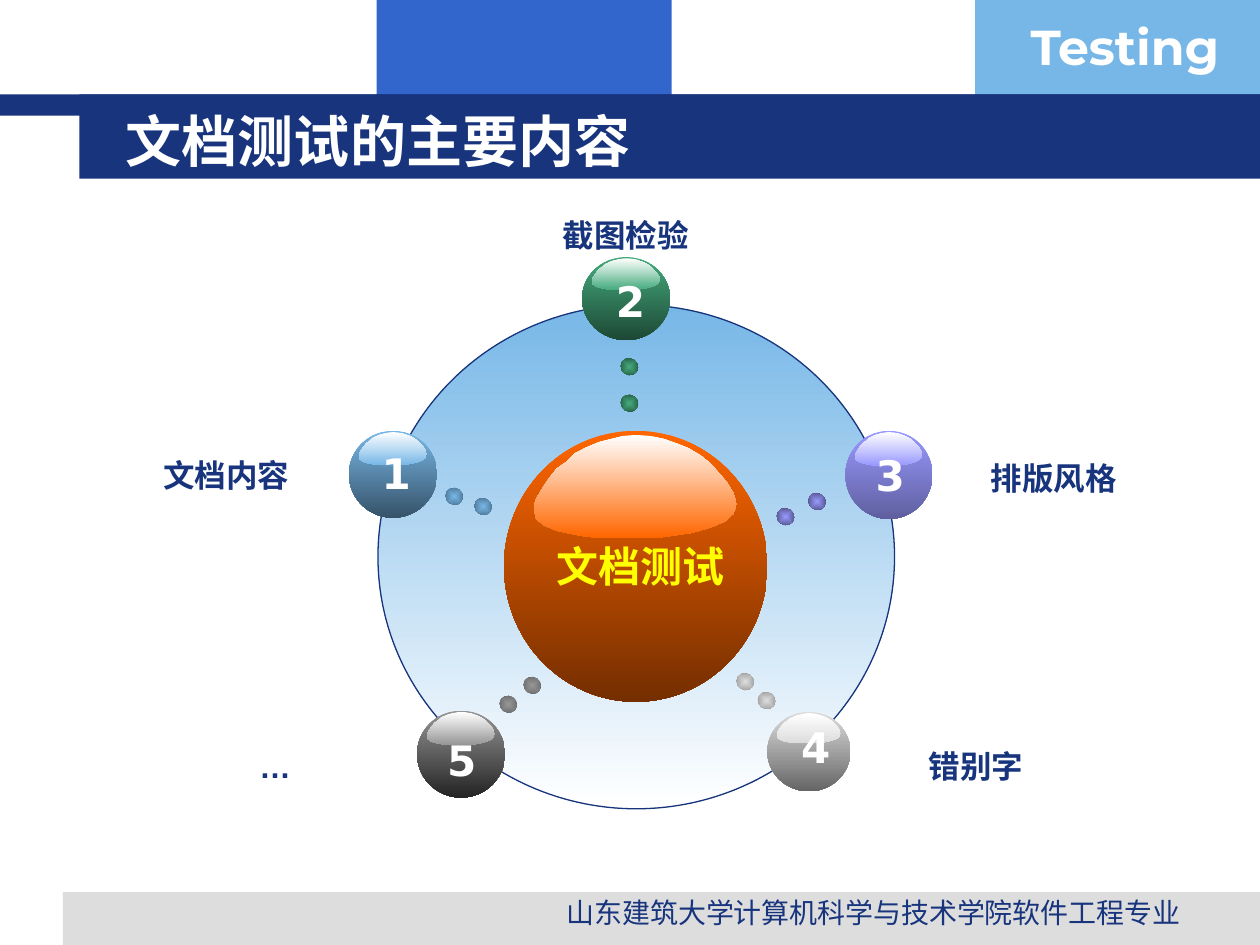
from lxml.etree import SubElement
from pptx import Presentation
from pptx.dml.color import RGBColor
from pptx.enum.shapes import MSO_SHAPE
from pptx.enum.text import MSO_ANCHOR, PP_ALIGN
from pptx.oxml.ns import qn
from pptx.util import Pt

COLORS = {
    "navy": "17347D", "blue": "3366CC", "sky": "77B7E7", "silver": "DDDDDD",
    "white": "FFFFFF", "yellow": "FFFF00", "orange": "FF6600", "brown": "742E00",
    "green": "45AB7D", "green_dark": "1D4835", "green_dot": "1F4E39",
    "violet": "9999FF", "violet_dark": "5F5F9F", "violet_dot": "444471",
    "gray": "969696", "gray_dark": "242424", "gray_dot": "646464",
    "silver_dark": "656565", "silver_dot": "939393",
    "sky_dark": "365369", "sky_dot": "456985",
}
BARS = [
    (215.3, 0, 168.5, 66.2, "blue"),
    (557.3, 0, 162.7, 66.2, "sky"),
    (36, 509.8, 684, 30.2, "silver"),
    (0, 54, 720, 12.2, "navy"),
    (45.4, 54, 674.6, 48.2, "navy"),
]
TOPICS = [
    ("1", "文档内容", "sky", (199.4, 246.2, 50.4, 49.7), (211, 252),
     (59.8, 257), [(254.9, 278.6), (271.4, 284.4)]),
    ("2", "截图检验", "green", (332.6, 146.9, 50.4, 47.5), (344.9, 154.1),
     (288, 120.2), [(355, 204.5), (355, 225.4)]),
    ("3", "排版风格", "violet", (483.1, 246.2, 49.7, 50.4), (493.2, 253.4),
     (532.8, 258.5), [(462.2, 281.5), (444.2, 290.2)]),
    ("4", "错别字", "silver", (438.5, 406.8, 47.5, 45.4), (450.7, 409),
     (488.2, 423.4), [(433.4, 395.3), (421.2, 384.5)]),
    ("5", "…", "gray", (238.3, 406.1, 50.4, 49.7), (248.4, 416.2),
     (87.8, 423.4), [(285.8, 397.4), (299.5, 386.6)]),
]
GLOSS_OUTLINE = [
    (98, 56), (100, 67), (98, 77), (94, 84), (87, 90), (78, 95), (68, 98),
    (60, 100), (36, 100), (26, 99), (18, 96), (11, 93), (5, 88), (1, 82),
    (0, 73), (0, 68), (1, 62), (4, 52), (7, 43), (11, 33), (16, 26), (20, 18),
    (26, 12), (32, 7), (38, 4), (44, 1), (50, 0), (57, 1), (64, 4), (71, 9),
    (76, 13), (82, 20), (87, 28), (91, 37), (95, 46),
]


def rgb(name):
    return RGBColor.from_string(COLORS[name])


def paint_gradient(shape, first, last):
    shape.shadow.inherit = False
    shape.line.fill.background()
    shape.fill.gradient()
    shape.fill.gradient_angle = 270
    for stop, color in zip(shape.fill.gradient_stops, (first, last)):
        stop.color.rgb = rgb(color)


def add_bar(slide, left, top, width, height, color):
    bar = slide.shapes.add_shape(
        MSO_SHAPE.RECTANGLE, Pt(left), Pt(top), Pt(width), Pt(height))
    bar.shadow.inherit = False
    bar.fill.solid()
    bar.fill.fore_color.rgb = rgb(color)
    bar.line.fill.background()


def add_disc(slide, box, first, last):
    disc = slide.shapes.add_shape(MSO_SHAPE.OVAL, *map(Pt, box))
    paint_gradient(disc, first, last)
    return disc


def add_ball(slide, box, light, dark):
    add_disc(slide, box, light, dark)
    left, top, width, height = box
    builder = slide.shapes.build_freeform(
        *GLOSS_OUTLINE[0], scale=(Pt(width * 0.0077), Pt(height * 0.0038)))
    builder.add_line_segments(GLOSS_OUTLINE[1:], close=True)
    gloss = builder.convert_to_shape(
        Pt(left + width * 0.115), Pt(top + height * 0.015))
    paint_gradient(gloss, "white", light)


def add_dot(slide, left, top, light, dark):
    dot = add_disc(slide, (left, top, 9.4, 10.1), light, dark)
    dot.rotation = 303.8
    gradient = dot.fill._xPr.find(qn("a:gradFill"))
    gradient.remove(gradient.find(qn("a:lin")))
    focus = SubElement(gradient, qn("a:path"), {"path": "rect"})
    SubElement(focus, qn("a:fillToRect"), dict.fromkeys("ltrb", "50000"))


def add_text(slide, box, text, size, color, font="Arial", bold=True,
             align=PP_ALIGN.CENTER, wrap=True):
    frame = slide.shapes.add_textbox(*map(Pt, box)).text_frame
    frame.word_wrap = wrap
    paragraph = frame.paragraphs[0]
    paragraph.text = text
    paragraph.alignment = align
    paragraph.font.name = font
    paragraph.font.size = Pt(size)
    paragraph.font.bold = bold
    paragraph.font.color.rgb = rgb(color)
    return frame


def add_topic(slide, number, label, color, ball, digit, label_at, dots):
    add_ball(slide, ball, color, color + "_dark")
    add_text(slide, (*digit, 28.1, 36), number, 24, "white", "DejaVu Sans", wrap=False)
    for left, top in dots:
        add_dot(slide, left, top, color, color + "_dot")
    add_text(slide, (*label_at, 139, 28.8), label, 18, "navy")


def main():
    deck = Presentation()
    deck.slide_width, deck.slide_height = Pt(720), Pt(540)
    slide = deck.slides.add_slide(deck.slide_layouts[6])

    for bar in BARS:
        add_bar(slide, *bar)
    add_text(slide, (581.8, 5.8, 139, 41), "Testing", 28, "white", "Montserrat",
             align=PP_ALIGN.LEFT)
    add_text(slide, (292.3, 508.3, 414, 22.3),
             "山东建筑大学计算机科学与技术学院软件工程专业", 16, "navy", bold=False)
    title = add_text(slide, (57.6, 57.6, 614.2, 44.6), "文档测试的主要内容", 32,
                     "white", "DejaVu Sans", align=PP_ALIGN.LEFT)
    title.margin_left = Pt(14.4)
    title.vertical_anchor = MSO_ANCHOR.MIDDLE

    ring = add_disc(slide, (216, 174.2, 295.2, 288), "sky", "white")
    ring.line.color.rgb = rgb("navy")
    ring.line.width = Pt(0.75)
    add_ball(slide, (288, 246.2, 150.5, 154.8), "orange", "brown")
    add_text(slide, (311, 305.3, 110.2, 36), "文档测试", 24, "yellow", wrap=False)
    for topic in TOPICS:
        add_topic(slide, *topic)

    deck.save("out.pptx")


if __name__ == "__main__":
    main()
